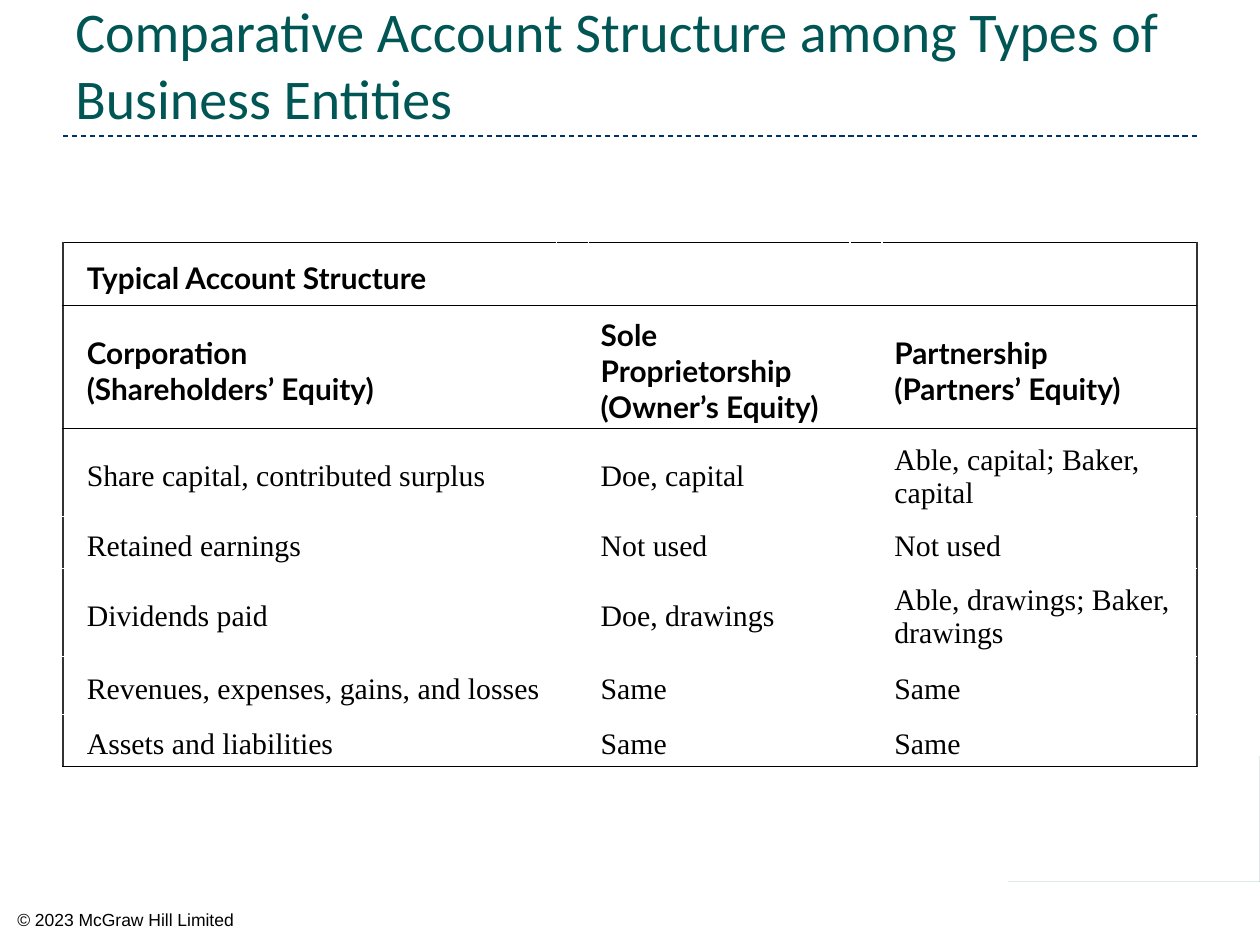
from lxml import etree
from pptx import Presentation
from pptx import util as u
from pptx.dml import color
from pptx.enum import dml, shapes, text
from pptx.oxml import ns

Cm, Pt = u.Cm, u.Pt
TEAL, INK, WHITE, GREY = "005654", "000000", "FFFFFF", "333333"

TITLE = "Comparative Account Structure among Types of Business Entities"
ROWS = [
    ("Typical Account Structure", "", ""),
    ("Corporation\n(Shareholders’ Equity)", "Sole Proprietorship\n(Owner’s Equity)",
     "Partnership\n(Partners’ Equity)"),
    ("Share capital, contributed surplus", "Doe, capital", "Able, capital; Baker, capital"),
    ("Retained earnings", "Not used", "Not used"),
    ("Dividends paid", "Doe, drawings", "Able, drawings; Baker, drawings"),
    ("Revenues, expenses, gains, and losses", "Same", "Same"),
    ("Assets and liabilities", "Same", "Same"),
]
WIDTHS = [9.95, 0.64, 5.28, 0.64, 6.35]
HEIGHTS = [1.27, 1.85, 1.75, 1.04, 1.75, 1.17, 1.04]
HEADS = 2
CURVE = [
    (10, 6.33), (10, 7.49), (8.08, 7.49), (8.22, 7.48), (8.34, 7.47), (8.46, 7.46),
    (8.57, 7.45), (8.68, 7.44), (8.78, 7.42), (8.88, 7.41), (8.97, 7.39), (9.05, 7.38),
    (9.13, 7.36), (9.21, 7.34), (9.28, 7.32), (9.35, 7.3), (9.41, 7.27), (9.47, 7.24),
    (9.52, 7.21), (9.57, 7.18), (9.62, 7.15), (9.66, 7.11), (9.7, 7.07), (9.74, 7.03),
    (9.77, 6.98), (9.81, 6.93), (9.83, 6.88), (9.86, 6.82), (9.89, 6.77), (9.91, 6.7),
    (9.93, 6.64), (9.95, 6.56), (9.97, 6.49), (9.98, 6.41),
]


def rgb(code):
    return color.RGBColor.from_string(code)


def style(frame, face, size, code, bold=False):
    for par in frame.paragraphs:
        for run in par.runs:
            run.font.name, run.font.size, run.font.bold = face, Pt(size), bold
            run.font.color.rgb = rgb(code)


def label(slide, words, box, face, size, code, wrap=True):
    frame = slide.shapes.add_textbox(*map(Cm, box)).text_frame
    frame.word_wrap = wrap
    frame.text = words
    style(frame, face, size, code)
    return frame


def border(cell, side, code):
    props = cell._tc.get_or_add_tcPr()
    line = etree.SubElement(props, ns.qn("a:ln" + side), w=str(Pt(0.75)))
    fill = etree.SubElement(line, ns.qn("a:solidFill"))
    etree.SubElement(fill, ns.qn("a:srgbClr"), val=code)


def add_grid(slide):
    last, end = len(ROWS) - 1, len(WIDTHS) - 1
    grid = slide.shapes.add_table(
        len(ROWS), len(WIDTHS), Cm(1.27), Cm(4.88), Cm(sum(WIDTHS)), Cm(sum(HEIGHTS))).table
    grid.first_row = grid.horz_banding = False
    for col, width in zip(grid.columns, WIDTHS):
        col.width = Cm(width)
    for r, words in enumerate(ROWS):
        grid.rows[r].height = Cm(HEIGHTS[r])
        for c in range(len(WIDTHS)):
            cell = grid.cell(r, c)
            edges = [("L", c == 0, GREY), ("R", c == end, GREY),
                     ("T", r <= HEADS, INK), ("B", r < HEADS or r == last, INK)]
            for side, shown, code in edges:
                if shown:
                    border(cell, side, code)
            cell.fill.solid()
            cell.fill.fore_color.rgb = rgb(WHITE)
            if c % 2 == 0 and words[c // 2]:
                cell.text_frame.text = words[c // 2]
                cell.vertical_anchor = text.MSO_ANCHOR.MIDDLE
                cell.margin_left = Cm(0.48 if c == 0 else 0.25)
                cell.margin_right = Cm(0.48 if c == end else 0.25)
                cell.margin_top, cell.margin_bottom = Cm(0.25), Cm(0.08)
                head = r < HEADS
                style(cell.text_frame, "Lato" if head else "Times New Roman", 17, INK, head)


def main():
    deck = Presentation()
    deck.slide_width, deck.slide_height = Cm(25.4), Cm(19.05)
    slide = deck.slides.add_slide(deck.slide_layouts[6])

    rule = slide.shapes.add_connector(
        shapes.MSO_CONNECTOR.STRAIGHT, Cm(1.27), Cm(2.74), Cm(24.13), Cm(2.74))
    rule.line.color.rgb = rgb("003366")
    rule.line.width = Pt(0.75)
    rule.line.dash_style = dml.MSO_LINE.DASH
    etree.SubElement(rule._element.spPr, ns.qn("a:effectLst"))

    path = slide.shapes.build_freeform(*CURVE[0], scale=Cm(2.54))
    path.add_line_segments(CURVE[1:], close=True)
    corner = path.convert_to_shape()
    corner.shadow.inherit = False
    corner.fill.solid()
    corner.fill.fore_color.rgb = rgb(TEAL)
    corner.line.fill.background()

    page = label(slide, "10-43", (22.86, 18.19, 2.49, 0.69), "Arial", 10, WHITE)
    page.paragraphs[0].alignment = text.PP_ALIGN.RIGHT
    label(slide, "© 2023 McGraw Hill Limited", (0.1, 18.21, 4.93, 0.69), "Arial", 10, INK, False)
    title = label(slide, TITLE, (1.27, 0.56, 22.86, 2.21), "Calibri", 32, TEAL)
    title.vertical_anchor = text.MSO_ANCHOR.BOTTOM
    add_grid(slide)
    deck.save("out.pptx")


if __name__ == "__main__":
    main()
